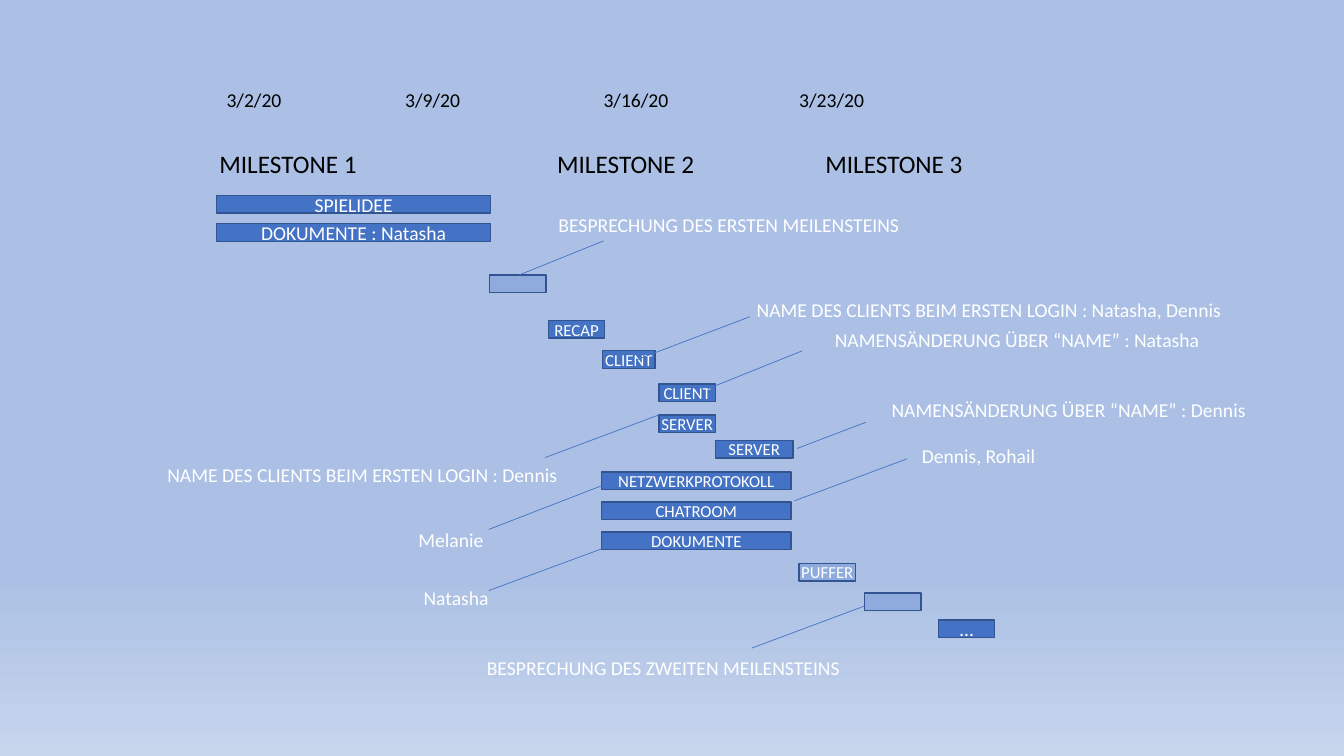
from copy import deepcopy
from typing import NamedTuple

from pptx import Presentation
from pptx.dml.color import RGBColor
from pptx.enum.shapes import MSO_CONNECTOR as Connector, MSO_SHAPE as Preset
from pptx.enum.text import MSO_ANCHOR as Anchor, PP_ALIGN as Align
from pptx.oxml.ns import qn
from pptx.oxml.xmlchemy import OxmlElement
from pptx.slide import Slide
from pptx.text.text import TextFrame
from pptx.util import Cm, Pt

BLUE, LIGHT_BLUE, OUTLINE = "4472C4", "8FAADC", "325491"
WHITE, BLACK = "FFFFFF", "000000"
BACKGROUND = [(0, "ABC0E4"), (0.76, "ABC0E4"), (1, "C7D5ED")]
BAR_HEIGHT = 0.44
DAY, PHASE = 1.42, 4.78  # recurring bar widths


class Task(NamedTuple):
    """A bar of the schedule; lengths in cm."""
    label: str
    left: float
    top: float
    width: float = DAY
    size: int = 12
    color: str = BLUE


class Label(NamedTuple):
    """A free-standing line of text; lengths in cm."""
    text: str
    left: float
    top: float
    width: float


class Leader(NamedTuple):
    """A thin line between a bar and its note; lengths in cm."""
    x1: float
    y1: float
    x2: float
    y2: float


TASKS = [
    Task("SPIELIDEE", 5.46, 4.93, 6.91, 14),
    Task("DOKUMENTE : Natasha", 5.46, 5.64, 6.91, 14),
    Task("", 12.34, 6.93, color=LIGHT_BLUE),
    Task("RECAP", 13.82, 8.08),
    Task("CLIENT", 15.19, 8.84, 1.32),
    Task("CLIENT", 16.61, 9.68),
    Task("SERVER", 16.61, 10.46),
    Task("SERVER", 18.03, 11.1, 1.96),
    *(Task(name, 15.16, 11.89 + 0.76 * row, PHASE)
      for row, name in enumerate(["NETZWERKPROTOKOLL", "CHATROOM", "DOKUMENTE"])),
    Task("PUFFER", 20.14, 14.2, color=LIGHT_BLUE),
    Task("", 21.79, 14.94, color=LIGHT_BLUE),
    Task("…", 23.65, 15.62, size=14),
]

LEADERS = [
    Leader(13.08, 6.93, 15.21, 6.07),
    Leader(16.03, 9.07, 18.9, 7.98),
    Leader(17.83, 9.8, 20.22, 8.84),
    Leader(13.74, 11.53, 16.59, 10.46),
    Leader(20.09, 11.3, 21.82, 10.64),
    Leader(12.32, 13.34, 15.16, 12.24),
    Leader(20.02, 12.62, 22.86, 11.56),
    Leader(12.32, 14.88, 15.19, 13.82),
    Leader(18.95, 16.33, 21.79, 15.27),
]

DATES = [Label(date, left, 2.1, 3.51) for date, left in
         [("3/2/20", 5.46), ("3/9/20", 9.96), ("3/16/20", 14.96), ("3/23/20", 19.89)]]

MILESTONES = [Label(f"MILESTONE {number}", left, 3.6, 4.57)
              for number, left in enumerate([5.28, 13.79, 20.55], start=1)]

NOTES = [
    Label("BESPRECHUNG DES ERSTEN MEILENSTEINS", 13.44, 5.23, 9.86),
    Label("NAME DES CLIENTS BEIM ERSTEN LOGIN : Natasha, Dennis", 18.03, 7.37, 13.79),
    Label("NAMENSÄNDERUNG ÜBER “NAME” : Natasha", 19.3, 8.15, 12.67),
    Label("NAMENSÄNDERUNG ÜBER “NAME” : Dennis", 20.04, 9.91, 13.79),
    Label("Dennis, Rohail", 21.84, 11.05, 5.64),
    Label("NAME DES CLIENTS BEIM ERSTEN LOGIN : Dennis", 2.24, 11.53, 13.79),
    Label("Melanie", 8.33, 13.18, 6.07),
    Label("Natasha", 4.6, 14.63, 13.79),
    Label("BESPRECHUNG DES ZWEITEN MEILENSTEINS", 11.79, 16.41, 9.86),
]


def rgb(color: str) -> RGBColor:
    """Turn a hex string into a colour."""
    return RGBColor.from_string(color)


def write(frame: TextFrame, text: str, size: int, color: str, align: Align) -> None:
    """Put one styled paragraph into a text frame."""
    paragraph = frame.paragraphs[0]
    paragraph.text, paragraph.alignment = text, align
    font = paragraph.font
    font.name, font.size, font.color.rgb = "Calibri", Pt(size), rgb(color)


def paint_background(slide: Slide) -> None:
    """Fill the background with a vertical gradient."""
    fill = slide.background.fill
    fill.gradient()
    fill.gradient_angle = 270
    first = slide.element.find(".//" + qn("a:gs"))
    first.addnext(deepcopy(first))
    for stop, (position, color) in zip(fill.gradient_stops, BACKGROUND):
        stop.position, stop.color.rgb = position, rgb(color)


def draw_task(slide: Slide, task: Task) -> None:
    """Draw a schedule bar with its label centred on it."""
    bar = slide.shapes.add_shape(Preset.RECTANGLE, Cm(task.left), Cm(task.top),
                                 Cm(task.width), Cm(BAR_HEIGHT))
    bar.shadow.inherit = False
    bar.fill.solid()
    bar.fill.fore_color.rgb = rgb(task.color)
    bar.line.color.rgb, bar.line.width = rgb(OUTLINE), Pt(1)
    if task.label:
        frame = bar.text_frame
        frame.margin_left = frame.margin_right = frame.margin_top = frame.margin_bottom = 0
        frame.word_wrap, frame.vertical_anchor = False, Anchor.MIDDLE
        write(frame, task.label, task.size, WHITE, Align.CENTER)


def draw_leader(slide: Slide, leader: Leader) -> None:
    """Draw a thin line without shadow."""
    line = slide.shapes.add_connector(Connector.STRAIGHT, *map(Cm, leader))
    line.line.color.rgb, line.line.width = rgb(BLUE), Pt(0.5)
    line.element.spPr.append(OxmlElement("a:effectLst"))


def draw_label(slide: Slide, label: Label, size: int, color: str, align: Align) -> None:
    """Draw a text box one line high."""
    box = slide.shapes.add_textbox(Cm(label.left), Cm(label.top), Cm(label.width),
                                   Cm(0.25) + Pt(size * 1.22))
    box.text_frame.word_wrap = True
    write(box.text_frame, label.text, size, color, align)


def main() -> None:
    """Build the schedule slide and save it."""
    deck = Presentation()
    deck.slide_width, deck.slide_height = Cm(33.87), Cm(19.05)
    slide = deck.slides.add_slide(deck.slide_layouts[6])
    paint_background(slide)
    for task in TASKS:
        draw_task(slide, task)
    for leader in LEADERS:
        draw_leader(slide, leader)
    for labels, size, color, align in [(DATES, 14, BLACK, Align.LEFT),
                                       (MILESTONES, 18, BLACK, Align.LEFT),
                                       (NOTES, 14, WHITE, Align.CENTER)]:
        for label in labels:
            draw_label(slide, label, size, color, align)
    deck.save("out.pptx")


main()
